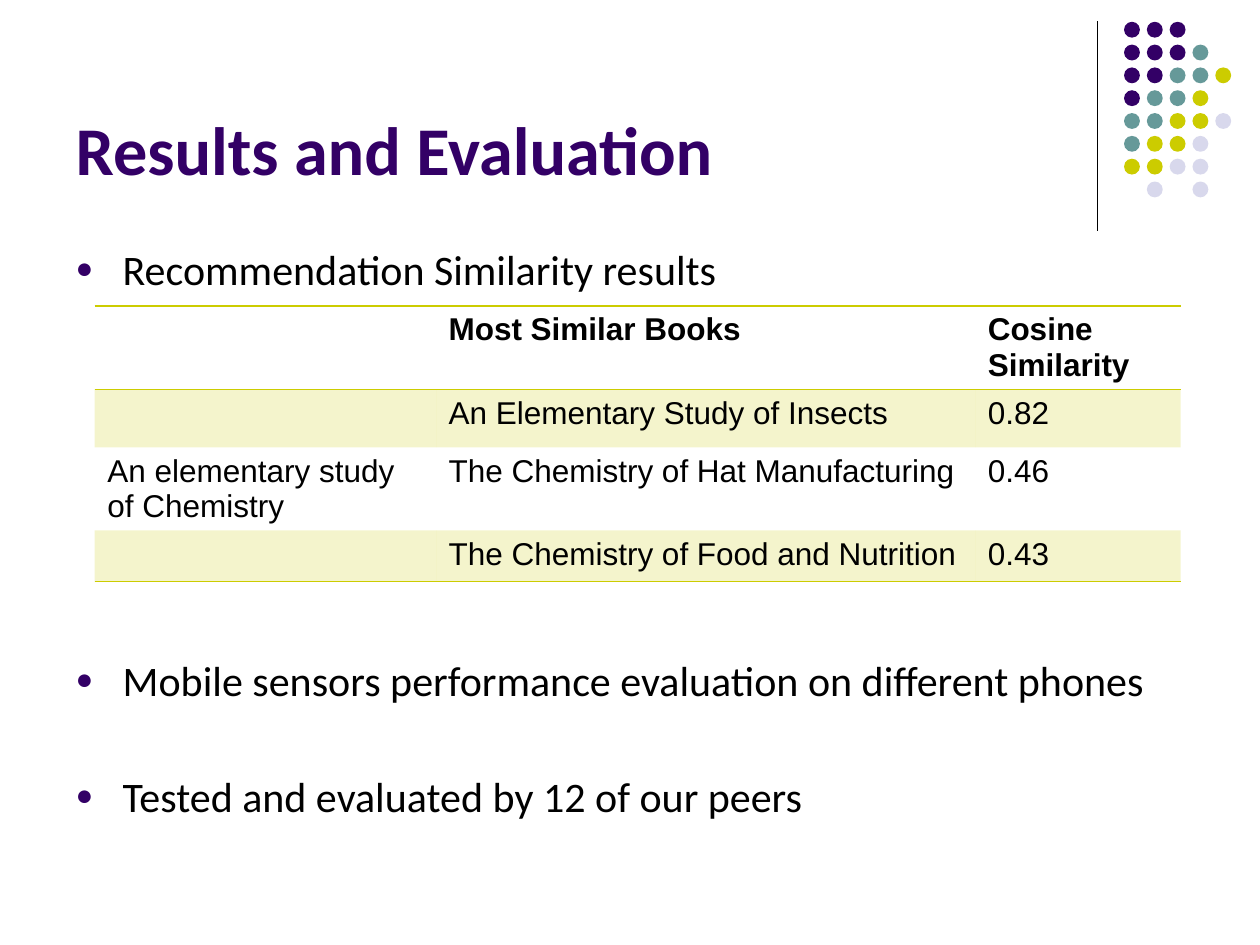
from lxml import etree
from pptx import Presentation
from pptx.dml.color import RGBColor
from pptx.enum.shapes import MSO_CONNECTOR, MSO_SHAPE
from pptx.enum.text import MSO_ANCHOR, MSO_AUTO_SIZE, PP_ALIGN
from pptx.oxml.ns import qn
from pptx.util import Cm, Pt

OVAL = MSO_SHAPE.OVAL
LINE = MSO_CONNECTOR.STRAIGHT
BOTTOM, TOP = MSO_ANCHOR.BOTTOM, MSO_ANCHOR.TOP
LEFT = PP_ALIGN.LEFT
FIXED = MSO_AUTO_SIZE.NONE

PURPLE, TEAL, LIME, PALE = "330066", "669999", "CCCC00", "D8D8EC"
BLACK = "000000"
PLAIN = "{2D5ABB26-0587-4C30-8999-92F81FD0307C}"  # table style without grid

DOTS = ["PPP", "PPPT", "PPTTL", "PTTL", "TTLLW", "TLLW", "LLWW", " W W"]
HUES = {"P": PURPLE, "T": TEAL, "L": LIME, "W": PALE}

# Text and the space above it in points
POINTS = [
    ("Recommendation Similarity results", 0),
    ("Mobile sensors performance evaluation on different phones", 206),
    ("Tested and evaluated by 12 of our peers", 37.6),
]

ROWS = [
    ["", "Most Similar Books", "Cosine Similarity"],
    ["", "An Elementary Study of Insects", "0.82"],
    ["An elementary study of Chemistry",
     "The Chemistry of Hat Manufacturing", "0.46"],
    ["", "The Chemistry of Food and Nutrition", "0.43"],
]
WIDTHS = [6.88, 10.87, 4.14]
HEIGHTS = [1.63, 1.17, 1.6, 0.91]


def color(code):
    return RGBColor.from_string(code)


def node(parent, tag, **attrs):
    return etree.SubElement(parent, qn(tag), attrs)


class Deck:
    """Holds the style and the current slide."""
    head, cell = "Calibri", "Arial"

    def __init__(self):
        self.prs = Presentation()
        self.prs.slide_width, self.prs.slide_height = Cm(25.4), Cm(19.05)
        self.slide = self.prs.slides.add_slide(self.prs.slide_layouts[1])
        self.shapes = self.slide.shapes

    def run(self, para, text, font, size, code, bold=False):
        run = para.add_run()
        run.text = text
        run.font.name, run.font.size, run.font.bold = font, Pt(size), bold
        run.font.color.rgb = color(code)

    def place(self, shape, box, anchor):
        shape.left, shape.top, shape.width, shape.height = map(Cm, box)
        frame = shape.text_frame
        frame.word_wrap, frame.auto_size = True, FIXED
        frame.vertical_anchor = anchor
        return frame

    def title(self, text, box):
        para = self.place(self.shapes.title, box, BOTTOM).paragraphs[0]
        para.alignment = LEFT
        self.run(para, text, self.head, 39, PURPLE, True)

    def bullets(self, items, box):
        frame = self.place(self.slide.placeholders[1], box, TOP)
        for i, (text, gap) in enumerate(items):
            para = frame.add_paragraph() if i else frame.paragraphs[0]
            para.space_before = Pt(gap)
            self.run(para, text, self.head, 24, BLACK)
            props = para._p.get_or_add_pPr()
            props.set("marL", str(Cm(0.95)))
            props.set("indent", str(-Cm(0.95)))
            node(node(props, "a:buClr"), "a:srgbClr", val=PURPLE)
            node(props, "a:buSzPct", val="70000")
            node(props, "a:buFont", typeface=self.cell)
            node(props, "a:buChar", char="●")

    def rule(self, x, top, end):
        line = self.shapes.add_connector(LINE, Cm(x), Cm(top), Cm(x), Cm(end))
        line.line.color.rgb = color(BLACK)
        line.line.width = Pt(0.75)
        node(line._element.spPr, "a:effectLst")

    def dots(self, rows, left, top, step, size):
        group = self.shapes.add_group_shape()
        for r, row in enumerate(rows):
            for c, key in enumerate(row):
                if key == " ":
                    continue
                dot = group.shapes.add_shape(
                    OVAL, Cm(left + c * step), Cm(top + r * step),
                    Cm(size), Cm(size))
                dot.shadow.inherit = False
                dot.fill.solid()
                dot.fill.fore_color.rgb = color(HUES[key])
                dot.line.fill.background()

    def edge(self, cell, tag):
        line = etree.Element(qn(tag), w=str(Pt(1)))
        node(node(line, "a:solidFill"), "a:srgbClr", val=LIME)
        cell._tc.get_or_add_tcPr().insert(0, line)

    def tint(self, cell):
        cell.fill.solid()
        cell.fill.fore_color.rgb = color(LIME)
        hue = cell._tc.tcPr.find(".//" + qn("a:srgbClr"))
        node(hue, "a:alpha", val="20000")

    def table(self, rows, left, top):
        frame = self.shapes.add_table(
            len(rows), len(WIDTHS), Cm(left), Cm(top),
            Cm(sum(WIDTHS)), Cm(sum(HEIGHTS)))
        grid = frame.table
        grid.first_row = grid.horz_banding = False
        grid._tbl.find(".//" + qn("a:tableStyleId")).text = PLAIN
        for col, width in zip(grid.columns, WIDTHS):
            col.width = Cm(width)
        for r, (row, height) in enumerate(zip(rows, HEIGHTS)):
            grid.rows[r].height = Cm(height)
            for c, text in enumerate(row):
                cell = grid.cell(r, c)
                para = cell.text_frame.paragraphs[0]
                para.font.size = Pt(18)
                if text:
                    self.run(para, text, self.cell, 18, BLACK, r == 0)
                if r % 2:
                    self.tint(cell)
                else:
                    cell.fill.background()
                if r in (0, len(rows) - 1):
                    self.edge(cell, "a:lnB")
                if r == 0:
                    self.edge(cell, "a:lnT")


def main():
    deck = Deck()
    deck.rule(22.12, 0.43, 4.65)
    deck.dots(DOTS, 22.66, 0.44, 0.46, 0.32)
    deck.title("Results and Evaluation", (1.27, 0.33, 20.96, 3.61))
    deck.bullets(POINTS, (1.27, 4.78, 22.86, 12.24))
    deck.table(ROWS, 1.91, 6.17)
    deck.prs.save("out.pptx")


if __name__ == "__main__":
    main()
